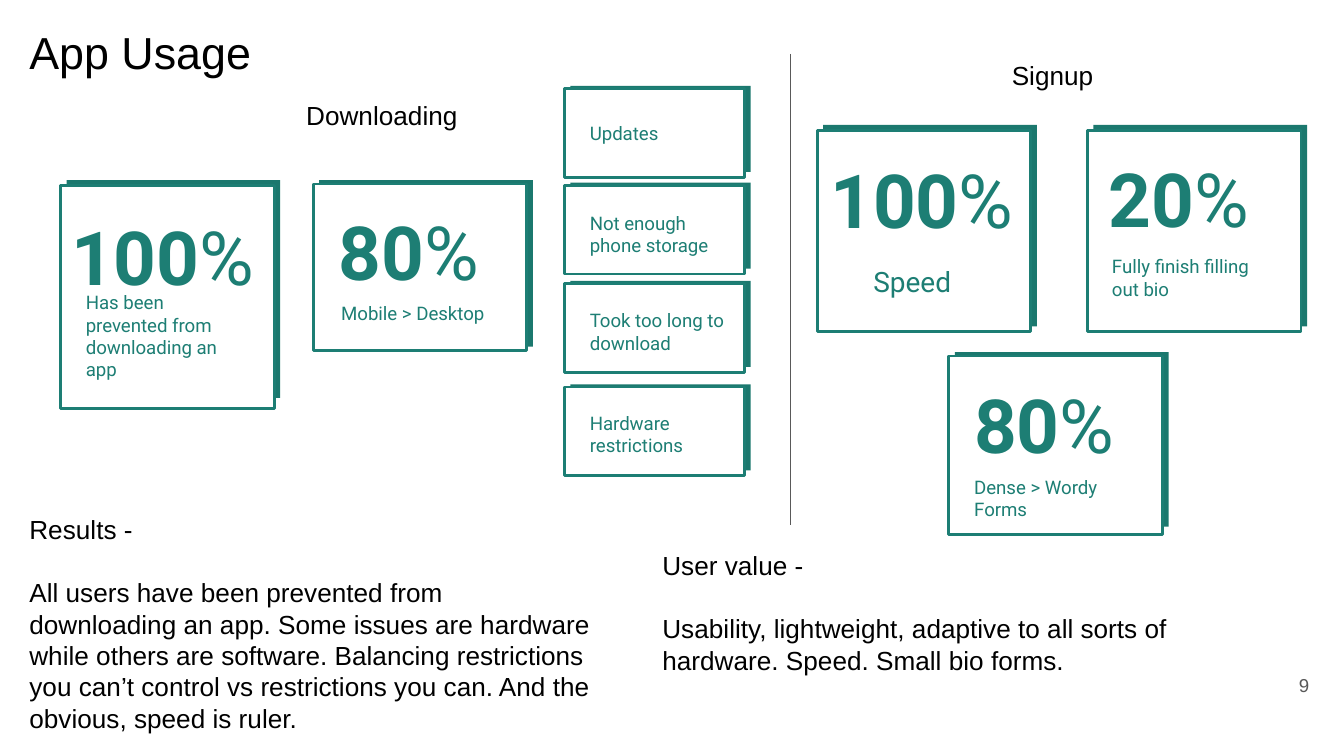
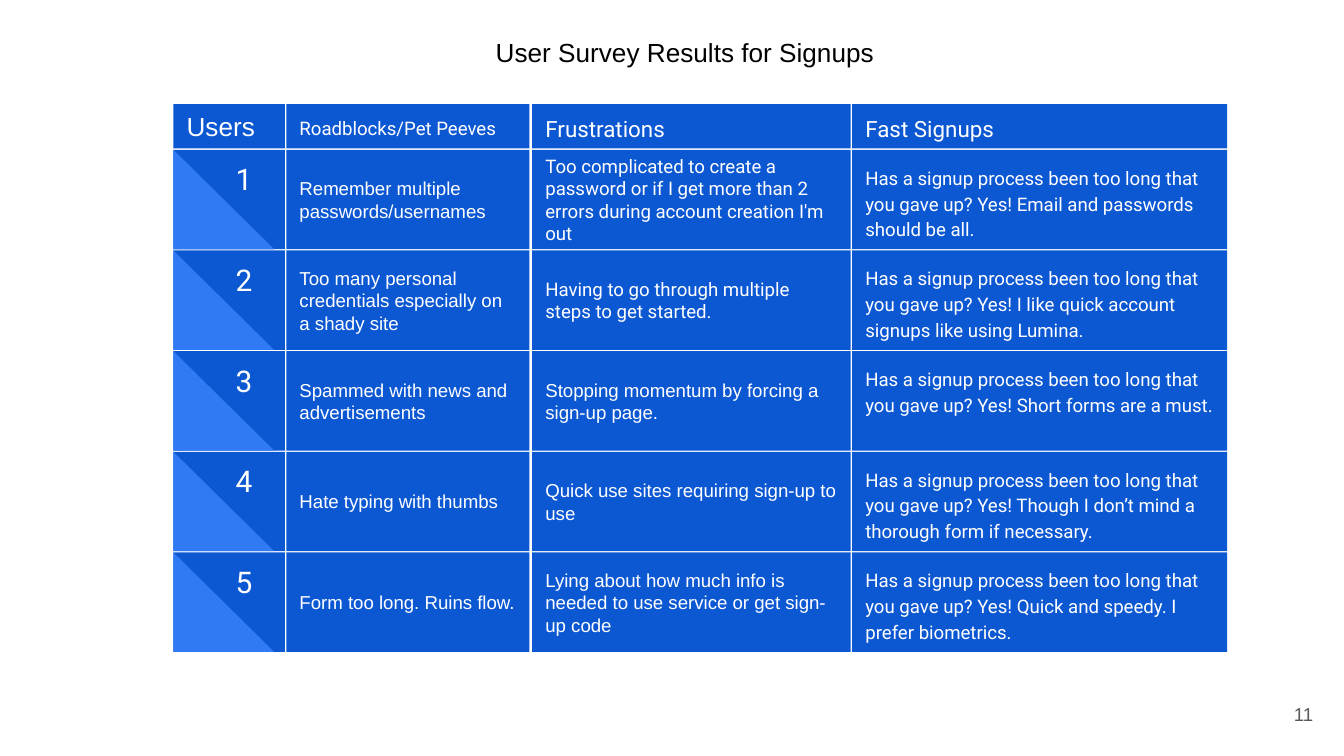
from lxml import etree
from pptx import Presentation
from pptx.dml.color import RGBColor
from pptx.enum.shapes import MSO_CONNECTOR, MSO_SHAPE
from pptx.enum.text import MSO_ANCHOR, MSO_AUTO_SIZE, PP_ALIGN
from pptx.oxml.ns import qn
from pptx.util import Inches, Pt

RECT, WEDGE = MSO_SHAPE.RECTANGLE, MSO_SHAPE.RIGHT_TRIANGLE
LINE = MSO_CONNECTOR.STRAIGHT
TOP, MID, LOW = MSO_ANCHOR.TOP, MSO_ANCHOR.MIDDLE, MSO_ANCHOR.BOTTOM
LEFT, CENTER, RIGHT = PP_ALIGN.LEFT, PP_ALIGN.CENTER, PP_ALIGN.RIGHT
GROW = MSO_AUTO_SIZE.SHAPE_TO_FIT_TEXT

WIDTH, HEIGHT = Inches(10), Inches(5.625)
UNIT = WIDTH / 100
BLACK, WHITE, GRAY = "000000", "FFFFFF", "595959"
TEAL, SHADE = "1D7E74", "1B786E"
BLUE, SKY = "0C58D3", "307BF3"
SANS, BODY = "Arial", "Roboto"

# Card: column, row, width, height, lift, trim, (figure, dx, dy), (note, dx, dy, width, size)
CARDS = [
    (4.5, 13.8, 15.9, 16.6, .4, .4, ("100", -.2, .9),
     ("Has been prevented from downloading an app", .9, 6.85, 14, 10)),
    (23.3, 13.7, 15.9, 12.4, .3, 0, ("80", .9, .6),
     ("Mobile > Desktop", 1.1, 7.9, 14.2, 10)),
    (60.8, 9.7, 15.9, 15, .4, 0, ("100", 0, .75), ("Speed", 3.2, 9, 14.2, 15)),
    (80.9, 9.7, 15.9, 15, .4, 0, ("20", .6, .7),
     ("Fully finish filling out bio", .85, 8.3, 14.2, 10)),
    (70.6, 26.5, 15.9, 13.3, .3, .3, ("80", .9, .7),
     ("Dense > Wordy\nForms", .9, 7.9, 14.2, 10)),
]
CAUSES = [
    ("Updates", 6.6, 1.6),
    ("Not enough phone storage", 13.8, .95),
    ("Took too long to download", 21.1, .9),
    ("Hardware restrictions", 28.8, .85),
]
RESULTS = ("Results -\nAll users have been prevented from downloading an app. "
           "Some issues are hardware while others are software. Balancing "
           "restrictions you can’t control vs restrictions you can. And the "
           "obvious, speed is ruler.")
VALUE = ("User value -\nUsability, lightweight, adaptive to all sorts of "
         "hardware. Speed. Small bio forms.")

COLS = ((12.9, 8.3), (21.3, 18.1), (39.6, 23.7), (63.4, 27.9))
HEAD, BASE, STEP, TALL = 7.75, 11.15, 7.49, 7.4
LABELS = [("Users", SANS, 14, None), ("Roadblocks/Pet Peeves", BODY, 10, 1.15),
          ("Frustrations", BODY, 12, 1.15), ("Fast Signups", BODY, 12, 1.15)]
ASK = "Has a signup process been too long that you gave up? Yes! "
USERS = [
    ("Remember multiple passwords/usernames",
     "Too complicated to create a password or if I get more than 2 errors "
     "during account creation I'm out", BODY, "Email and passwords should be all."),
    ("Too many personal credentials especially on a shady site",
     "Having to go through multiple steps to get started.", BODY,
     "I like quick account signups like using Lumina."),
    ("Spammed with news and advertisements",
     "Stopping momentum by forcing a sign-up page.", SANS, "Short forms are a must."),
    ("Hate typing with thumbs", "Quick use sites requiring sign-up to use", SANS,
     "Though I don’t mind a thorough form if necessary."),
    ("Form too long. Ruins flow.",
     "Lying about how much info is needed to use service or get sign-up code",
     SANS, "Quick and speedy. I prefer biometrics."),
]


def cells(*counts):
    """Turn grid counts into lengths."""
    return [round(n * UNIT) for n in counts]


def tint(code):
    """Return the colour for a hex string."""
    return RGBColor.from_string(code)


def style(run, size, color, font):
    """Format one run."""
    run.font.size = Pt(size)
    run.font.name = font
    run.font.color.rgb = tint(color)


def write(frame, text, size, color, font=SANS, anchor=TOP, align=LEFT,
          space=None, gap=0):
    """Fill a text frame and format its paragraphs."""
    frame.word_wrap = True
    frame.margin_left = frame.margin_right = Inches(.1)
    frame.margin_top = frame.margin_bottom = Inches(.1)
    frame.vertical_anchor = anchor
    frame.text = text
    for para in frame.paragraphs:
        para.alignment = align
        para.line_spacing = space
        for run in para.runs:
            style(run, size, color, font)
    for para in frame.paragraphs[1:]:
        para.space_before = Pt(gap)


def label(shapes, box, text, size, color=BLACK, grow=False, **look):
    """Add a text box and return its frame."""
    frame = shapes.add_textbox(*cells(*box)).text_frame
    write(frame, text, size, color, **look)
    if grow:
        frame.auto_size = GROW
    return frame


def block(shapes, kind, box, fill, edge=None):
    """Add a filled shape, outlined if an edge colour is given."""
    shape = shapes.add_shape(kind, *cells(*box))
    shape.shadow.inherit = False
    shape.fill.solid()
    shape.fill.fore_color.rgb = tint(fill)
    if edge:
        shape.line.color.rgb = tint(edge)
        shape.line.width = Pt(1.5)
    else:
        shape.line.fill.background()
    return shape


def card(slide, col, row, wide, high, lift, trim, figure, note):
    """Add a grouped card with a raised backing, a note and a figure."""
    shapes = slide.shapes.add_group_shape().shapes
    block(shapes, RECT, (col + .45, row - lift, wide, high - trim), SHADE)
    block(shapes, RECT, (col, row, wide, high), WHITE, TEAL)
    text, right, down, span, size = note
    label(shapes, (col + right, row + down, span, 4), text, size, TEAL, font=BODY)
    if figure:
        text, right, down = figure
        frame = label(shapes, (col + right, row + down, wide, 4),
                      text, 40, TEAL, font=BODY)
        para = frame.paragraphs[0]
        para.runs[0].font.bold = True
        sign = para.add_run()
        sign.text = "%"
        style(sign, 40, TEAL, BODY)


def rule(slide, col, top, end):
    """Add a thin upright line."""
    line = slide.shapes.add_connector(LINE, *cells(col, top, col, end))
    line.line.color.rgb = tint(GRAY)
    line.line.width = Pt(.75)
    etree.SubElement(line._element.spPr, qn("a:effectLst"))


def number(slide, col, row, text):
    """Add the page number."""
    label(slide.shapes, (col, row, 6, 4.3), text, 10, GRAY, anchor=MID, align=RIGHT)


def tile(slide, col, top, high, text, size, font, anchor=MID, space=None):
    """Add a blue tile with text in one column of the survey."""
    left, wide = COLS[col]
    shape = block(slide.shapes, RECT, (left, top, wide, high), BLUE)
    write(shape.text_frame, text, size, WHITE, font, anchor, space=space)


def badge(slide, top, text):
    """Add a user number on a tile with a lighter wedge."""
    left, wide = COLS[0]
    block(slide.shapes, RECT, (left, top, wide, TALL), BLUE)
    block(slide.shapes, WEDGE, (left, top, 7.5, TALL), SKY)
    label(slide.shapes, (left + 2.9, top, 4.7, 4.5), text, 16, WHITE,
          font=BODY, anchor=LOW, align=CENTER)


def survey(slide):
    """Add the header tiles and one row of tiles per user."""
    for col, (text, font, size, space) in enumerate(LABELS):
        tile(slide, col, HEAD, 3.3, text, size, font, space=space)
    for row, (block_text, pain, font, fast) in enumerate(USERS):
        top = BASE + STEP * row
        badge(slide, top, str(row + 1))
        tile(slide, 1, top, TALL, block_text, 10, SANS)
        tile(slide, 2, top, TALL, pain, 10, font)
        tile(slide, 3, top, TALL, ASK + fast, 10, BODY, TOP, 1.15)


def usage(slide):
    """Build the app usage slide."""
    shapes = slide.shapes
    number(slide, 92.4, 48.8, "9")
    label(shapes, (1.2, .85, 38.5, 6.1), "App Usage", 24, grow=True)
    label(shapes, (21.8, 6.4, 14.3, 4.4), "Downloading", 14, grow=True)
    label(shapes, (74.3, 3.4, 10.9, 4.4), "Signup", 14, grow=True)
    rule(slide, 58.8, 4, 39.1)
    label(shapes, (1.2, 37.2, 44.1, 18.5), RESULTS, 14, grow=True, gap=17)
    label(shapes, (48.3, 39.9, 44.1, 11.4), VALUE, 14, grow=True, gap=17)
    for spec in CARDS:
        card(slide, *spec)
    for text, row, down in reversed(CAUSES):
        card(slide, 42, row, 13.4, 6.6, .2, .2, None, (text, .9, down, 12, 10))


def signups(slide):
    """Build the survey results slide."""
    number(slide, 92.7, 51, "11")
    label(slide.shapes, (35.9, 1.7, 31, 4.4),
          "User Survey Results for Signups", 14, grow=True)
    survey(slide)


def main():
    """Build and save the deck."""
    deck = Presentation()
    deck.slide_width, deck.slide_height = WIDTH, HEIGHT
    for build in (usage, signups):
        build(deck.slides.add_slide(deck.slide_layouts[6]))
    deck.save("out.pptx")


if __name__ == "__main__":
    main()
